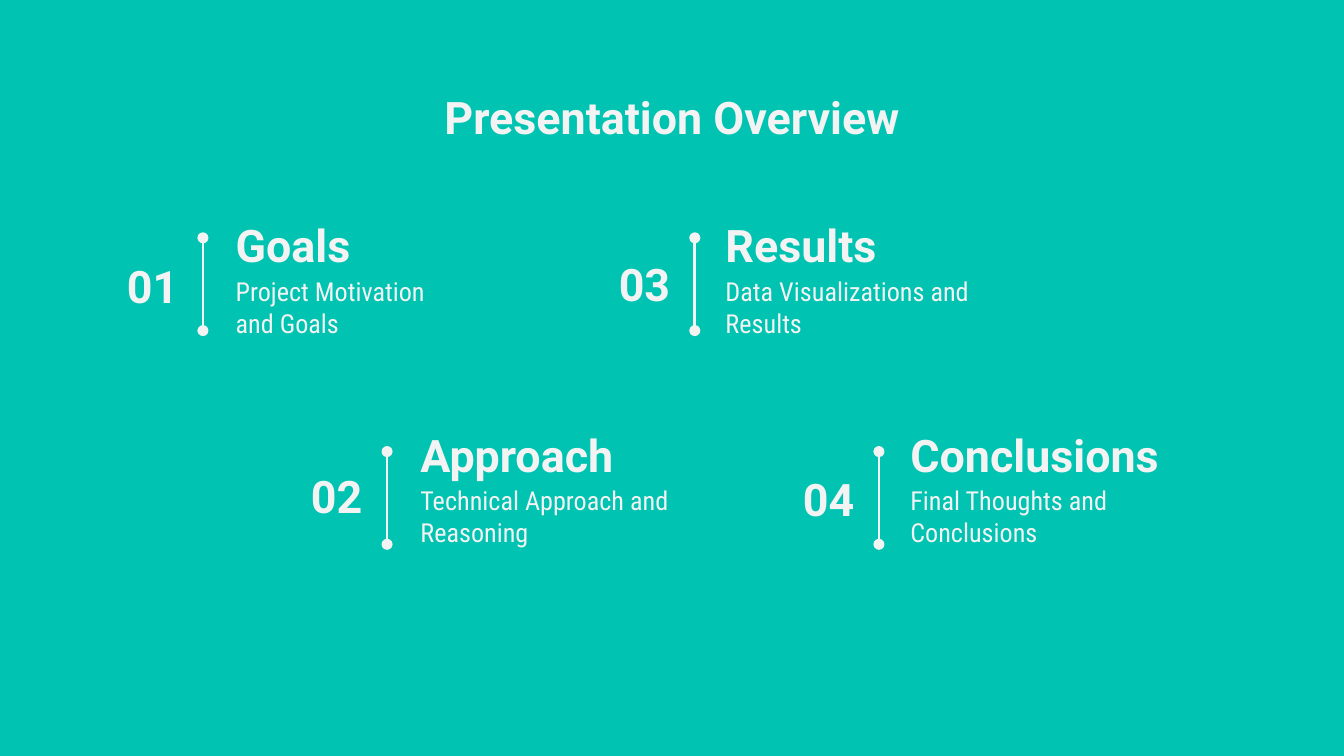
from dataclasses import dataclass

from lxml.etree import SubElement
from pptx import Presentation
from pptx.dml.color import RGBColor
from pptx.enum.shapes import MSO_CONNECTOR as Connector
from pptx.enum.text import MSO_ANCHOR as Anchor, PP_ALIGN as Align
from pptx.oxml.ns import qn
from pptx.slide import Slide
from pptx.util import Emu, Pt

EMU_PER_PX = 4572  # 200 px to the inch
COLORS = {"background": "00C3B1", "ink": "F3F3F3"}
HEADING = {"name": "Roboto", "size": Pt(24), "bold": True}
BODY = {"name": "Roboto Condensed", "size": Pt(14), "bold": False}
RULE_HEIGHT = 138
HEADING_HEIGHT = 92
HEADING_WIDTH = 512
SUMMARY_HEIGHT = 142
NUMBER_WIDTH = 132
NUMBER_OFFSET = -149  # from the rule to the left of the number


@dataclass(frozen=True)
class Box:
    left: int
    top: int
    width: int
    height: int


@dataclass(frozen=True)
class Section:
    number: str
    heading: str
    summary: str
    rule_x: int
    rule_y: int
    number_y: int
    text_x: int
    heading_y: int
    summary_y: int
    summary_width: int = HEADING_WIDTH


SECTIONS = [
    Section("01", "Goals", "Project Motivation and Goals",
            302, 354, 379, 331, 318, 390, summary_width=334),
    Section("02", "Approach", "Technical Approach and Reasoning",
            576, 672, 692, 606, 630, 701),
    Section("03", "Results", "Data Visualizations and Results",
            1034, 354, 376, 1060, 318, 390),
    Section("04", "Conclusions", "Final Thoughts and Conclusions",
            1308, 672, 696, 1335, 630, 701),
]


def px(length: int) -> Emu:
    return Emu(length * EMU_PER_PX)


def color(name: str) -> RGBColor:
    return RGBColor.from_string(COLORS[name])


def add_text(page: Slide, text: str, place: Box, font: dict,
             align: Align = Align.LEFT, anchor: Anchor = Anchor.MIDDLE,
             inset: int = 20, space_after: int = 0) -> None:
    box = page.shapes.add_textbox(px(place.left), px(place.top),
                                  px(place.width), px(place.height))
    frame = box.text_frame
    frame.word_wrap = True
    frame.vertical_anchor = anchor
    for side in ("left", "top", "right", "bottom"):
        setattr(frame, f"margin_{side}", px(inset))
    para = frame.paragraphs[0]
    para.alignment = align
    para.space_after = Pt(space_after)
    span = para.add_run()
    span.text = text
    for attribute, value in font.items():
        setattr(span.font, attribute, value)
    span.font.color.rgb = color("ink")


def add_rule(page: Slide, x: int, y: int) -> None:
    """Draw a vertical line with a dot at each end."""
    rule = page.shapes.add_connector(Connector.STRAIGHT, px(x), px(y),
                                     px(x), px(y + RULE_HEIGHT))
    rule.line.color.rgb = color("ink")
    rule.line.width = Pt(1.5)
    outline = rule.line._get_or_add_ln()
    for end in ("a:headEnd", "a:tailEnd"):
        SubElement(outline, qn(end), type="oval", w="med", len="med")
    SubElement(rule._element.spPr, qn("a:effectLst"))


def add_section(page: Slide, section: Section) -> None:
    add_rule(page, section.rule_x, section.rule_y)
    add_text(page, section.number,
             Box(section.rule_x + NUMBER_OFFSET, section.number_y,
                 NUMBER_WIDTH, HEADING_HEIGHT),
             HEADING, align=Align.RIGHT)
    add_text(page, section.heading,
             Box(section.text_x, section.heading_y,
                 HEADING_WIDTH, HEADING_HEIGHT), HEADING)
    add_text(page, section.summary,
             Box(section.text_x, section.summary_y,
                 section.summary_width, SUMMARY_HEIGHT),
             BODY, anchor=Anchor.TOP, space_after=16)


def main() -> None:
    deck = Presentation()
    deck.slide_width, deck.slide_height = px(2000), px(1125)
    page = deck.slides.add_slide(deck.slide_layouts[6])
    page.background.fill.solid()
    page.background.fill.fore_color.rgb = color("background")
    add_text(page, "Presentation Overview", Box(157, 111, 1686, 126), HEADING,
             align=Align.CENTER, inset=0)
    for section in SECTIONS:
        add_section(page, section)
    deck.save("out.pptx")


if __name__ == "__main__":
    main()
